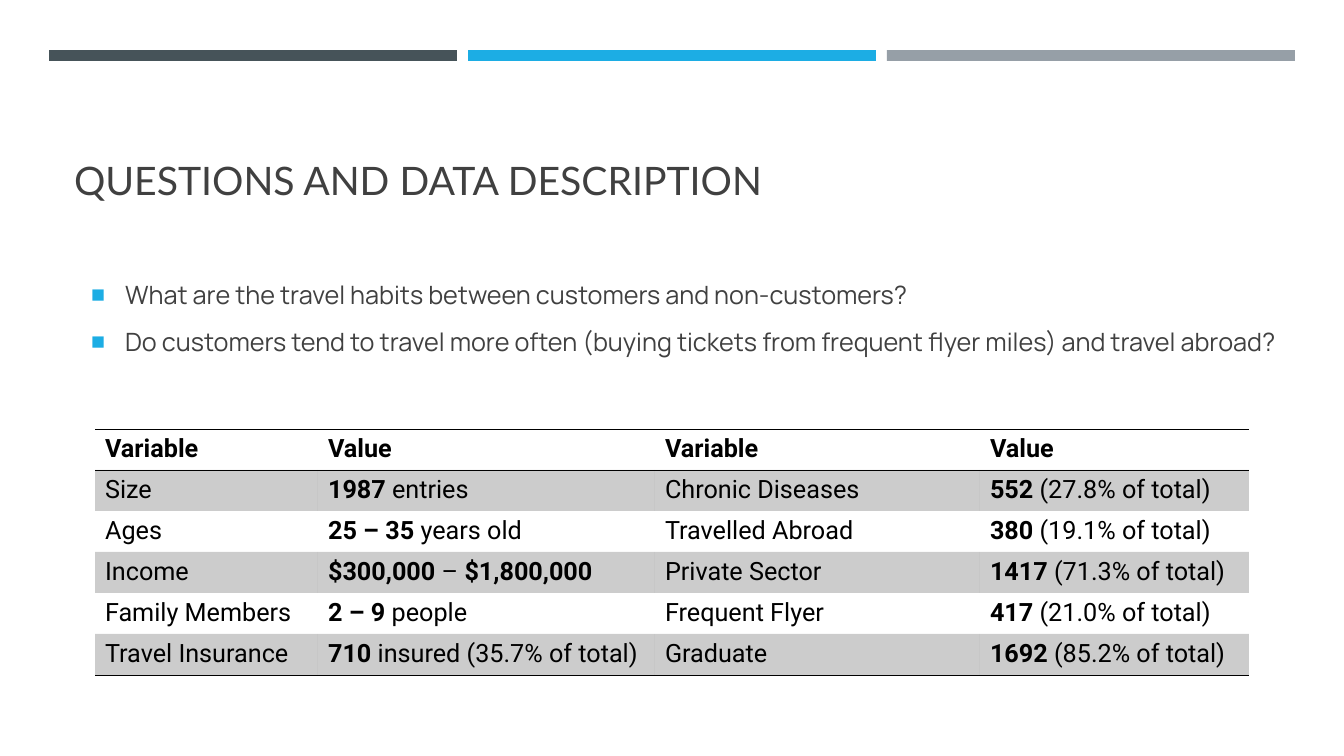
import dataclasses

import pptx
import pptx.dml.color
import pptx.enum.shapes
import pptx.enum.text
import pptx.oxml
import pptx.oxml.ns
import pptx.util

SCALE = 914400 / 100.8  # EMU in one px
COLORS = {
    "slate": "465359",
    "blue": "1CADE4",
    "gray": "969FA7",
    "text": "404040",
    "black": "000000",
}
PLAIN = "{2D5ABB26-0587-4C30-8999-92F81FD0307C}"  # table style without grid
WIDTHS = [223, 337, 325, 269]
ROW = 41
# Parts between asterisks are bold.
ROWS = [
    ["*Variable*", "*Value*", "*Variable*", "*Value*"],
    ["Size", "*1987* entries", "Chronic Diseases", "*552* (27.8% of total)"],
    ["Ages", "*25 – 35* years old", "Travelled Abroad", "*380* (19.1% of total)"],
    ["Income", "*$300,000* – *$1,800,000*", "Private Sector", "*1417* (71.3% of total)"],
    ["Family Members", "*2 – 9* people", "Frequent Flyer", "*417* (21.0% of total)"],
    ["Travel Insurance", "*710* insured (35.7% of total)", "Graduate", "*1692* (85.2% of total)"],
]
ASKS = [
    "What are the travel habits between customers and non-customers?",
    "Do customers tend to travel more often (buying tickets from frequent flyer miles) and travel abroad?",
]


@dataclasses.dataclass
class Box:
    left: int
    top: int
    width: int
    height: int

    def emu(self) -> list[int]:
        return [px(side) for side in dataclasses.astuple(self)]


@dataclasses.dataclass
class Bar:
    box: Box
    color: str


BARS = [
    Bar(Box(49 + 419 * i, 50, 408, 11), color)
    for i, color in enumerate(["slate", "blue", "gray"])
]


def px(count: int) -> int:
    return round(count * SCALE)


def rgb(name: str) -> pptx.dml.color.RGBColor:
    return pptx.dml.color.RGBColor.from_string(COLORS[name])


def style(para, face: str, size: int, color: str) -> None:
    para.font.name = face
    para.font.size = pptx.util.Pt(size)
    para.font.color.rgb = rgb(color)


def place(shape, box: Box, anchor) -> None:
    shape.left, shape.top, shape.width, shape.height = box.emu()
    frame = shape.text_frame
    frame.word_wrap = True
    frame.auto_size = pptx.enum.text.MSO_AUTO_SIZE.NONE
    frame.vertical_anchor = anchor


def add_xml(parent, text: str) -> None:
    """Append each element of an XML fragment in the a: namespace."""
    space = pptx.oxml.ns.nsdecls("a")
    for node in list(pptx.oxml.parse_xml(f"<a:root {space}>{text}</a:root>")):
        parent.append(node)


def draw_bar(slide, bar: Bar) -> None:
    kind = pptx.enum.shapes.MSO_SHAPE.RECTANGLE
    shape = slide.shapes.add_shape(kind, *bar.box.emu())
    shape.shadow.inherit = False
    shape.fill.solid()
    shape.fill.fore_color.rgb = rgb(bar.color)
    shape.line.fill.background()


def draw_title(slide) -> None:
    title = slide.shapes.title
    place(title, Box(64, 77, 1216, 131), pptx.enum.text.MSO_ANCHOR.BOTTOM)
    title.text_frame.text = "QUESTIONS AND DATA DESCRIPTION"
    para = title.text_frame.paragraphs[0]
    para.alignment = pptx.enum.text.PP_ALIGN.LEFT
    style(para, "Lato", 28, "text")


def draw_list(slide) -> None:
    body = slide.placeholders[1]
    place(body, Box(81, 220, 1216, 193), pptx.enum.text.MSO_ANCHOR.MIDDLE)
    body.text_frame.text = "\n".join(ASKS)
    for para in body.text_frame.paragraphs:
        props = para._p.get_or_add_pPr()
        props.set("marL", str(px(34)))
        props.set("indent", str(-px(34)))
        add_xml(
            props,
            f'<a:buClr><a:srgbClr val="{COLORS["blue"]}"/></a:buClr>'
            '<a:buSzPct val="92000"/><a:buFont typeface="Arial"/><a:buChar char="■"/>',
        )
        para.line_spacing = 1.1
        para.space_after = pptx.util.Pt(6)
        style(para, "Manrope", 18, "text")


def fill_cell(cell, text: str, sides: str, shade: bool) -> None:
    """Write marked text, rule the given sides (T, B) and shade the cell."""
    para = cell.text_frame.paragraphs[0]
    style(para, "Roboto", 18, "black")
    for i, part in enumerate(text.split("*")):
        if part:
            run = para.add_run()
            run.text = part
            run.font.bold = i % 2 == 1
    props = cell._tc.get_or_add_tcPr()
    for side in sides:
        add_xml(
            props,
            f'<a:ln{side} w="9525"><a:solidFill><a:srgbClr val="{COLORS["black"]}"/>'
            f"</a:solidFill></a:ln{side}>",
        )
    if shade:
        cell.fill.solid()
        cell.fill.fore_color.rgb = rgb("black")
        paint = props.find(pptx.oxml.ns.qn("a:solidFill"))
        add_xml(paint[0], '<a:alpha val="20000"/>')
    else:
        cell.fill.background()


def draw_table(slide) -> None:
    box = Box(95, 429, sum(WIDTHS), ROW * len(ROWS))
    table = slide.shapes.add_table(len(ROWS), len(WIDTHS), *box.emu()).table
    table.horz_banding = False
    table._tbl.tblPr.find(pptx.oxml.ns.qn("a:tableStyleId")).text = PLAIN
    for column, width in zip(table.columns, WIDTHS):
        column.width = px(width)
    rules = {0: "TB", len(ROWS) - 1: "B"}
    for r, texts in enumerate(ROWS):
        table.rows[r].height = px(ROW)
        for c, text in enumerate(texts):
            fill_cell(table.cell(r, c), text, rules.get(r, ""), r % 2 == 1)


def main() -> None:
    deck = pptx.Presentation()
    deck.slide_width, deck.slide_height = px(1344), px(756)
    slide = deck.slides.add_slide(deck.slide_layouts[1])
    for bar in BARS:
        draw_bar(slide, bar)
    draw_title(slide)
    draw_list(slide)
    draw_table(slide)
    deck.save("out.pptx")


if __name__ == "__main__":
    main()
